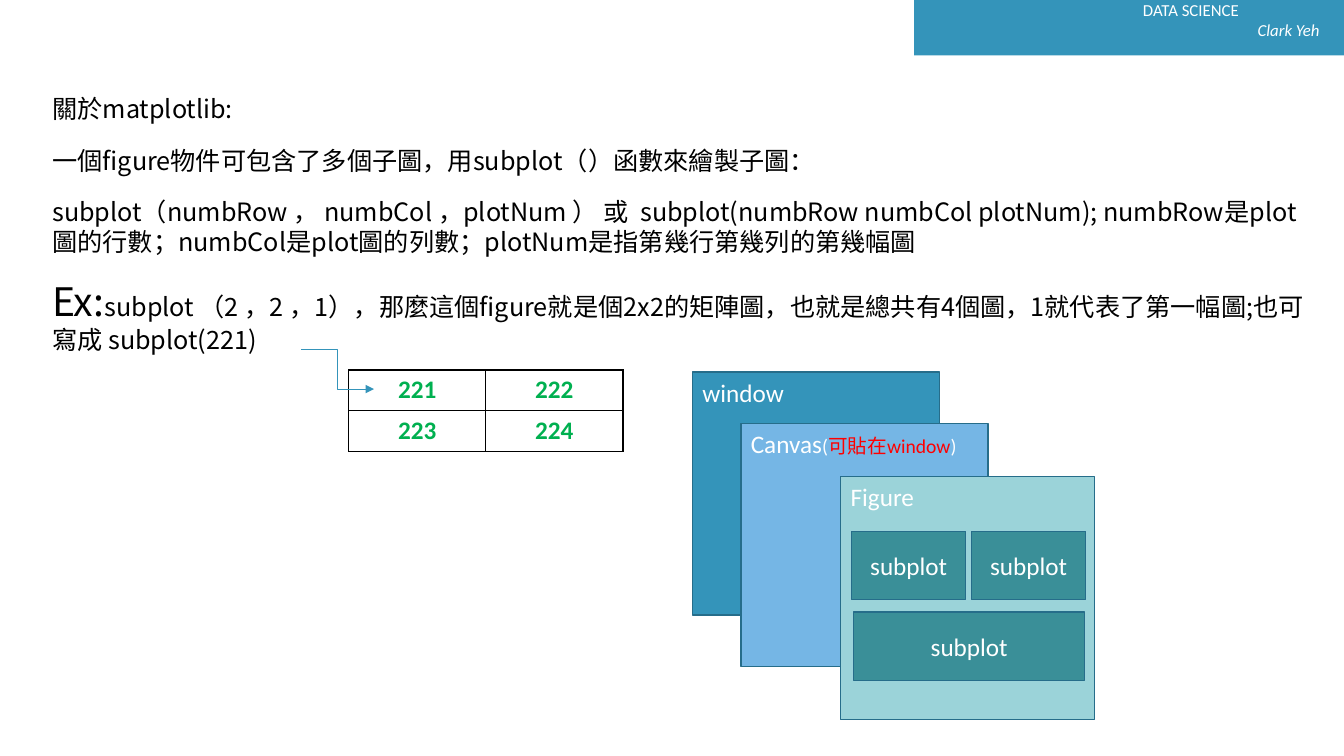
import pptx
import pptx.util
import pptx.dml.color
import pptx.enum.shapes
import pptx.enum.text
import pptx.oxml
import pptx.oxml.ns

INK = {"blue": "3494BA", "edge": "266D8A", "sky": "75B6E5", "aqua": "9BD3D9",
       "teal": "3A8F98", "white": "FFFFFF", "black": "000000",
       "green": "00B050", "red": "FF0000"}
SANS, SC, TC = "Calibri", "Noto Sans CJK SC", "Noto Sans CJK TC"
CELL = 0.1  # grid step in inches
ALIGN = pptx.enum.text.PP_ALIGN
ANCHOR = pptx.enum.text.MSO_ANCHOR
NS = 'xmlns:a="http://schemas.openxmlformats.org/drawingml/2006/main"'


def grid(*cells):
    return [pptx.util.Inches(n * CELL) for n in cells]


def rgb(name):
    return pptx.dml.color.RGBColor.from_string(INK[name])


def write(para, text, size, ink, font=SANS, bold=False, slant=False):
    run = para.add_run()
    run.text = text
    face = run.font
    face.size, face.name = pptx.util.Pt(size), font
    face.bold, face.italic = bold, slant
    face.color.rgb = rgb(ink)
    east = pptx.oxml.parse_xml(f'<a:ea {NS} typeface="{font}"/>')
    run._r.rPr.find(pptx.oxml.ns.qn("a:latin")).addnext(east)


def block(slide, box, fill, edge="edge"):
    shape = slide.shapes.add_shape(pptx.enum.shapes.MSO_SHAPE.RECTANGLE, *grid(*box))
    shape.shadow.inherit = False
    shape.fill.solid()
    shape.fill.fore_color.rgb = rgb(fill)
    if edge:
        shape.line.color.rgb = rgb(edge)
        shape.line.width = pptx.util.Pt(1)
    else:
        shape.line.fill.background()
    return shape


def label(shape, runs, align=ALIGN.LEFT, anchor=ANCHOR.TOP):
    frame = shape.text_frame
    frame.vertical_anchor = anchor
    para = frame.paragraphs[0]
    para.alignment = align
    for run in runs:
        write(para, *run)


def prose(slide, box):
    frame = slide.shapes.add_textbox(*grid(*box)).text_frame
    frame.word_wrap = True
    return frame


def banner(slide, box):
    left, top, wide, high = box
    block(slide, box, "blue", None)
    frame = prose(slide, (left + 21.7, top - 0.5, wide - 23.2, high - 0.5))
    write(frame.paragraphs[0], "DATA SCIENCE", 12, "white")
    para = frame.add_paragraph()
    para.alignment = ALIGN.RIGHT
    write(para, "Clark Yeh", 12, "white", slant=True)


def notes(slide, box):
    lines = [
        [("關於matplotlib:", 18, SC)],
        [("一個figure物件可包含了多個子圖，用subplot（）函數來繪製子圖：", 18, SC)],
        [("subplot（numbRow ， numbCol ，plotNum ） 或\u00a0 "
          "subplot(numbRow numbCol plotNum); numbRow是plot圖的行數；"
          "numbCol是plot圖的列數；plotNum是指第幾行第幾列的第幾幅圖", 18, SC)],
        [("Ex:", 28, TC),
         ("subplot （2 ，2 ，1），那麼這個figure就是個2x2的矩陣圖，"
          "也就是總共有4個圖，1就代表了第一幅圖;也可寫成 subplot(221)", 18, SC)],
    ]
    frame = prose(slide, box)
    for i, line in enumerate(lines):
        para = frame.add_paragraph() if i else frame.paragraphs[0]
        para.space_before = para.space_after = pptx.util.Pt(7.5)
        for text, size, font in line:
            write(para, text, size, "black", font)


def border(cell):
    props = cell._tc.get_or_add_tcPr()
    for i, side in enumerate(("lnL", "lnR", "lnT", "lnB")):
        props.insert(i, pptx.oxml.parse_xml(
            f'<a:{side} {NS} w="12700"><a:solidFill><a:srgbClr val="{INK["black"]}"/>'
            f'</a:solidFill></a:{side}>'))


def matrix(slide, box):
    left, top, wide, high = box
    table = slide.shapes.add_table(2, 2, *grid(*box)).table
    table.first_row = table.horz_banding = False
    for r in range(2):
        for c in range(2):
            cell = table.cell(r, c)
            cell.fill.background()
            border(cell)
            para = cell.text_frame.paragraphs[0]
            para.alignment = ALIGN.CENTER
            write(para, f"22{2 * r + c + 1}", 18, "green", bold=True)
    # arrow from subplot(221) into the first cell
    arrow = slide.shapes.add_connector(
        pptx.enum.shapes.MSO_CONNECTOR.ELBOW,
        *grid(left - 4.7, top - 2, left + 2.5, top + 1.9))
    arrow.line.color.rgb = rgb("blue")
    arrow.line.width = pptx.util.Pt(0.5)
    arrow.line._get_or_add_ln().append(
        pptx.oxml.parse_xml(f'<a:tailEnd {NS} type="triangle"/>'))
    arrow._element.spPr.append(pptx.oxml.parse_xml(f"<a:effectLst {NS}/>"))


def layers(slide, box):
    left, top, wide, high = box
    tall = 24.1
    # stacked panes: offset right, offset down, width, fill, words
    panes = [
        (0, 0, 24.5, "blue", [("window", 18, "white")]),
        (4.8, 5.1, 24.5, "sky", [("Canvas", 18, "white"), ("(", 14, "white"),
                                 ("可貼在window", 14, "red"), (")", 14, "white")]),
        (wide - 25.2, high - tall, 25.2, "aqua", [("Figure", 18, "white")]),
    ]
    for right, down, width, fill, runs in panes:
        label(block(slide, (left + right, top + down, width, tall), fill), runs)
    # subplots inside the last pane
    x, y = left + wide - 25.2, top + high - tall
    for right, down, width in ((1.1, 5.4, 11.3), (13, 5.4, 11.3), (1.3, 13.4, 22.9)):
        label(block(slide, (x + right, y + down, width, 6.8), "teal"),
              [("subplot", 18, "white")], ALIGN.CENTER, ANCHOR.MIDDLE)


deck = pptx.Presentation()
deck.slide_width, deck.slide_height = grid(133.33, 75)
page = deck.slides.add_slide(deck.slide_layouts[6])
banner(page, (90.7, 0, 42.7, 5.5))
notes(page, (4.2, 8.8, 127.1, 34.6))
matrix(page, (34.6, 36.7, 27.2, 8.1))
layers(page, (68.7, 36.9, 39.9, 34.5))
deck.save("out.pptx")
